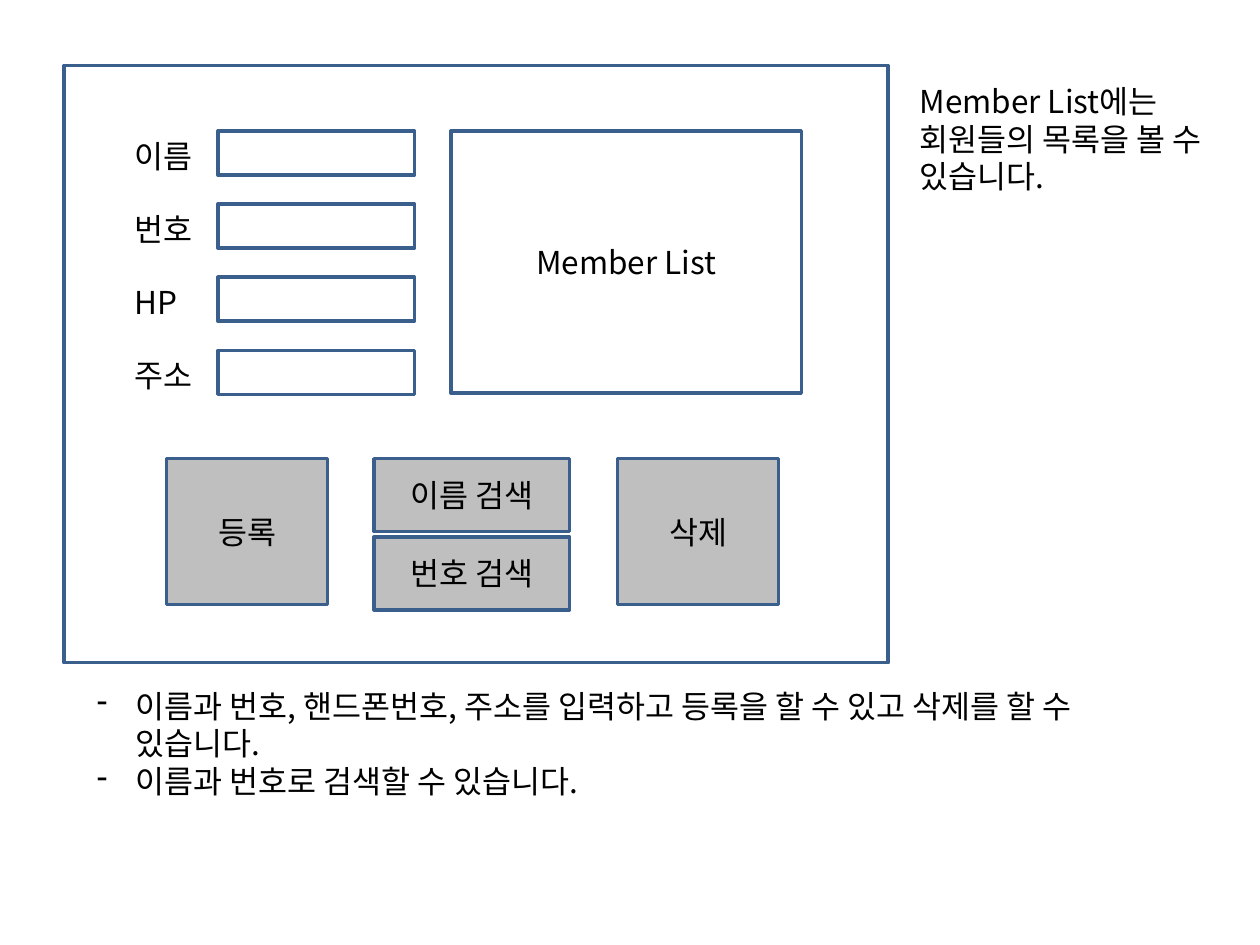
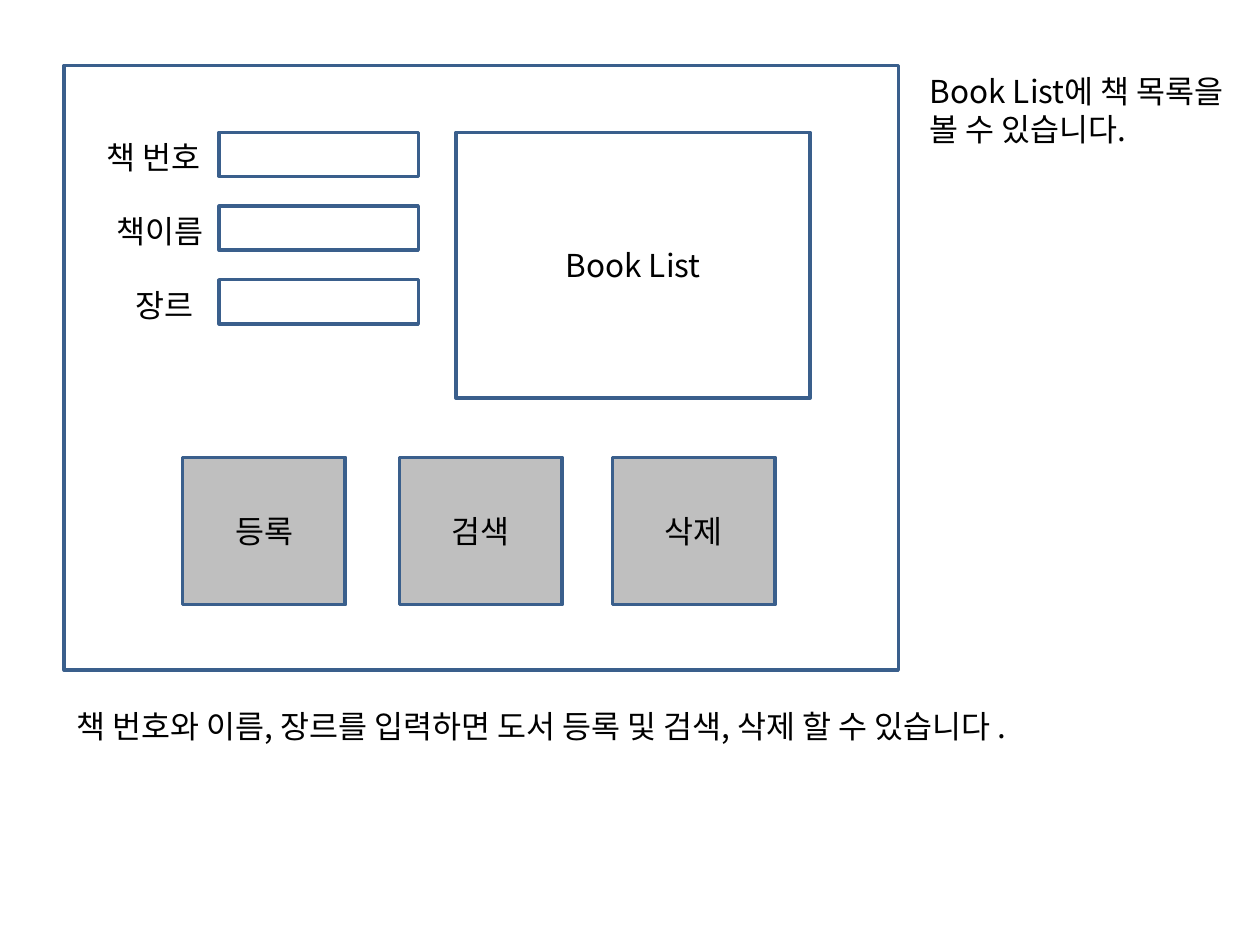
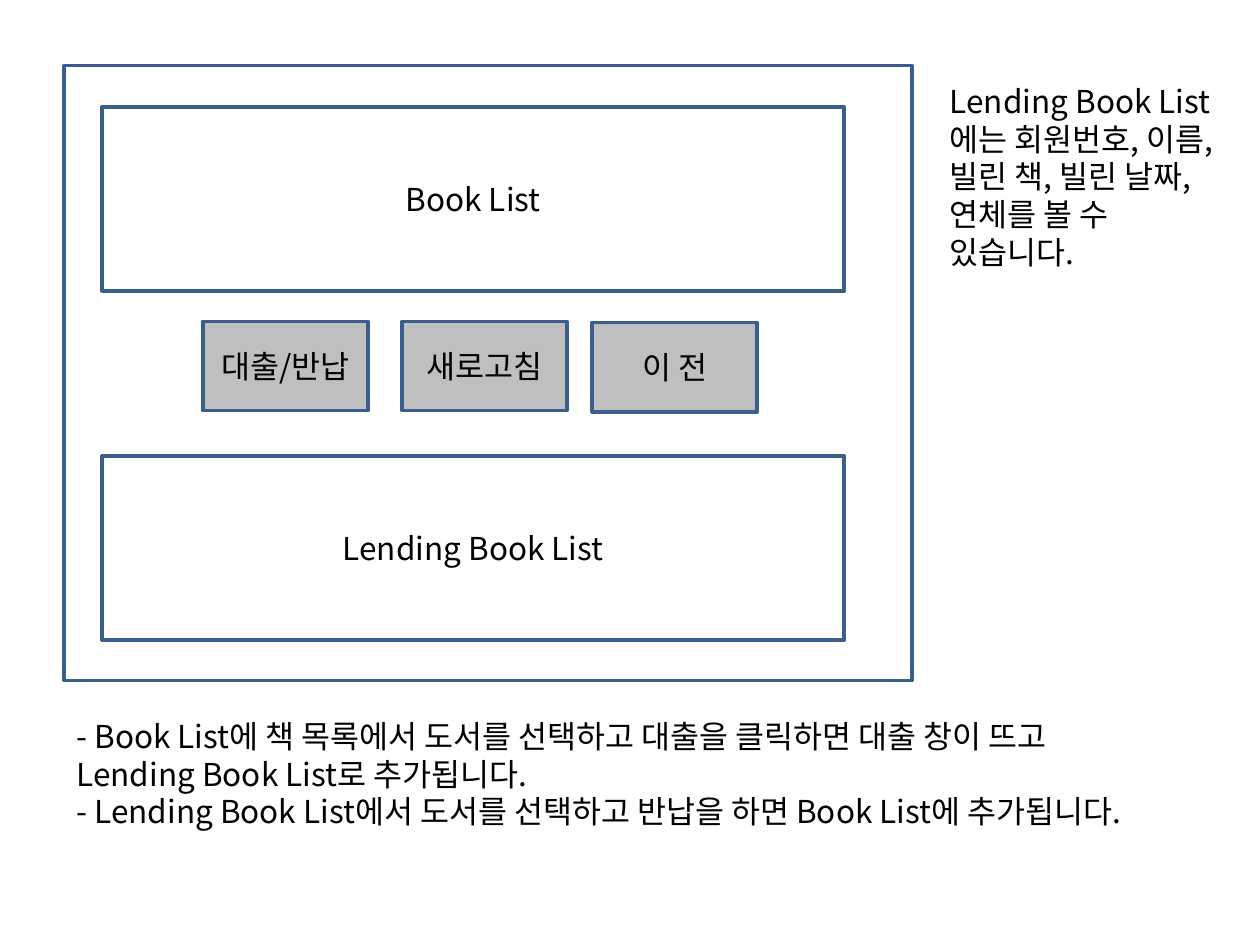
import lxml.etree
import pptx
import pptx.dml.color
import pptx.enum.shapes
import pptx.enum.text
import pptx.oxml.ns
import pptx.util

FONT = "Noto Sans CJK KR"
TEXT, OUTLINE, BUTTON = "000000", "3A5F8C", "BFBFBF"
FRAME_CORNER = (0.51, 0.52)

SCREENS = [
    {
        "frame": (6.54, 4.74),
        "fields": {
            "left": 1.73, "top": 1.04, "size": (1.56, 0.35), "step": 0.58,
            "labels": [("이름", 0.97, 0.77, 0.3), ("번호", 0.97, 0.77, 0.3),
                       ("HP", 0.97, 0.77, 0.3), ("주소", 0.97, 0.77, 0.3)],
        },
        "lists": [("Member List", 3.58, 1.04, 2.78, 2.08)],
        "buttons": [("등록", 1.32, 3.64, 1.28, 1.16),
                    ("이름 검색", 2.97, 3.64, 1.55, 0.58),
                    ("번호 검색", 2.97, 4.26, 1.55, 0.58),
                    ("삭제", 4.9, 3.64, 1.28, 1.16)],
        "description": (0.67, 5.4, 8.82, 1.31),
        "lines": ["이름과 번호, 핸드폰번호, 주소를 입력하고 등록을 할 수 있고 삭제를 할 수 있습니다.",
                  "이름과 번호로 검색할 수 있습니다."],
        "bulleted": True,
        "side_note": ("Member List에는 회원들의 목록을 볼 수 있습니다.", 7.2, 0.6, 2.52, 1.01),
    },
    {
        "frame": (6.62, 4.8),
        "fields": {
            "left": 1.74, "top": 1.05, "size": (1.58, 0.35), "step": 0.585,
            "labels": [("책 번호", 0.75, 1.1, 0.4), ("책이름", 0.83, 1.02, 0.4),
                       ("장르", 0.98, 0.78, 0.3)],
        },
        "lists": [("Book List", 3.62, 1.05, 2.81, 2.11)],
        "buttons": [("등록", 1.45, 3.63, 1.29, 1.17),
                    ("검색", 3.17, 3.63, 1.29, 1.17),
                    ("삭제", 4.86, 3.63, 1.29, 1.17)],
        "description": (0.51, 5.56, 8.74, 0.4),
        "lines": ["책 번호와 이름, 장르를 입력하면 도서 등록 및 검색, 삭제 할 수 있습니다 ."],
        "side_note": ("Book List에 책 목록을 볼 수 있습니다.", 7.28, 0.52, 2.6, 0.71),
    },
    {
        "frame": (6.73, 4.88),
        "lists": [("Book List", 0.81, 0.85, 5.89, 1.46),
                  ("Lending Book List", 0.81, 3.62, 5.89, 1.46)],
        "buttons": [("대출/반납", 1.61, 2.55, 1.31, 0.71),
                    ("새로고침", 3.19, 2.55, 1.31, 0.71),
                    ("이 전", 4.7, 2.56, 1.31, 0.71)],
        "description": (0.51, 5.64, 8.82, 1.31),
        "lines": ["- Book List에 책 목록에서 도서를 선택하고 대출을 클릭하면 대출 창이 뜨고 Lending Book List로 추가됩니다.",
                  "- Lending Book List에서 도서를 선택하고 반납을 하면 Book List에 추가됩니다."],
        "side_note": ("Lending Book List에는 회원번호, 이름, 빌린 책, 빌린 날짜, 연체를 볼 수 있습니다.",
                      7.44, 0.6, 2.36, 1.62),
    },
]


def color(value):
    return pptx.dml.color.RGBColor.from_string(value)


def inches(values):
    return [pptx.util.Inches(value) for value in values]


def add_dash(para):
    properties = para._p.get_or_add_pPr()
    indent = pptx.util.Inches(0.31)
    properties.set("marL", str(indent))
    properties.set("indent", str(-indent))
    bullet = lxml.etree.SubElement(properties, pptx.oxml.ns.qn("a:buChar"))
    bullet.set("char", "-")


def style_paragraph(para):
    para.font.size = pptx.util.Pt(18)
    para.font.color.rgb = color(TEXT)
    para.font.name = FONT
    east_asian = lxml.etree.SubElement(para._p.pPr.defRPr, pptx.oxml.ns.qn("a:ea"))
    east_asian.set("typeface", FONT)


def add_text(page, lines, place, bulleted=False):
    box = page.shapes.add_textbox(*inches(place))
    frame = box.text_frame
    frame.word_wrap = True
    frame.auto_size = pptx.enum.text.MSO_AUTO_SIZE.SHAPE_TO_FIT_TEXT
    frame.text = "\n".join(lines)
    for para in frame.paragraphs:
        if bulleted:
            add_dash(para)
        style_paragraph(para)


def add_rectangle(page, place, text="", fill=None):
    box = page.shapes.add_shape(pptx.enum.shapes.MSO_SHAPE.RECTANGLE, *inches(place))
    box.shadow.inherit = False
    box.line.color.rgb = color(OUTLINE)
    box.line.width = pptx.util.Pt(2)
    if fill:
        box.fill.solid()
        box.fill.fore_color.rgb = color(fill)
    else:
        box.fill.background()
    if text:
        box.text_frame.text = text
        para = box.text_frame.paragraphs[0]
        para.alignment = pptx.enum.text.PP_ALIGN.CENTER
        style_paragraph(para)


def add_fields(page, fields):
    for row, (label, left, width, height) in enumerate(fields["labels"]):
        top = fields["top"] + row * fields["step"]
        add_text(page, [label], (left, top, width, height))
        add_rectangle(page, (fields["left"], top, *fields["size"]))


def add_screen(deck, screen):
    page = deck.slides.add_slide(deck.slide_layouts[6])
    add_rectangle(page, (*FRAME_CORNER, *screen["frame"]))
    if "fields" in screen:
        add_fields(page, screen["fields"])
    for title, *place in screen["lists"]:
        add_rectangle(page, place, title)
    for caption, *place in screen["buttons"]:
        add_rectangle(page, place, caption, BUTTON)
    add_text(page, screen["lines"], screen["description"], screen.get("bulleted", False))
    note, *place = screen["side_note"]
    add_text(page, [note], place)


def main():
    deck = pptx.Presentation()
    deck.slide_width, deck.slide_height = inches((10, 7.5))
    for screen in SCREENS:
        add_screen(deck, screen)
    deck.save("out.pptx")


if __name__ == "__main__":
    main()
